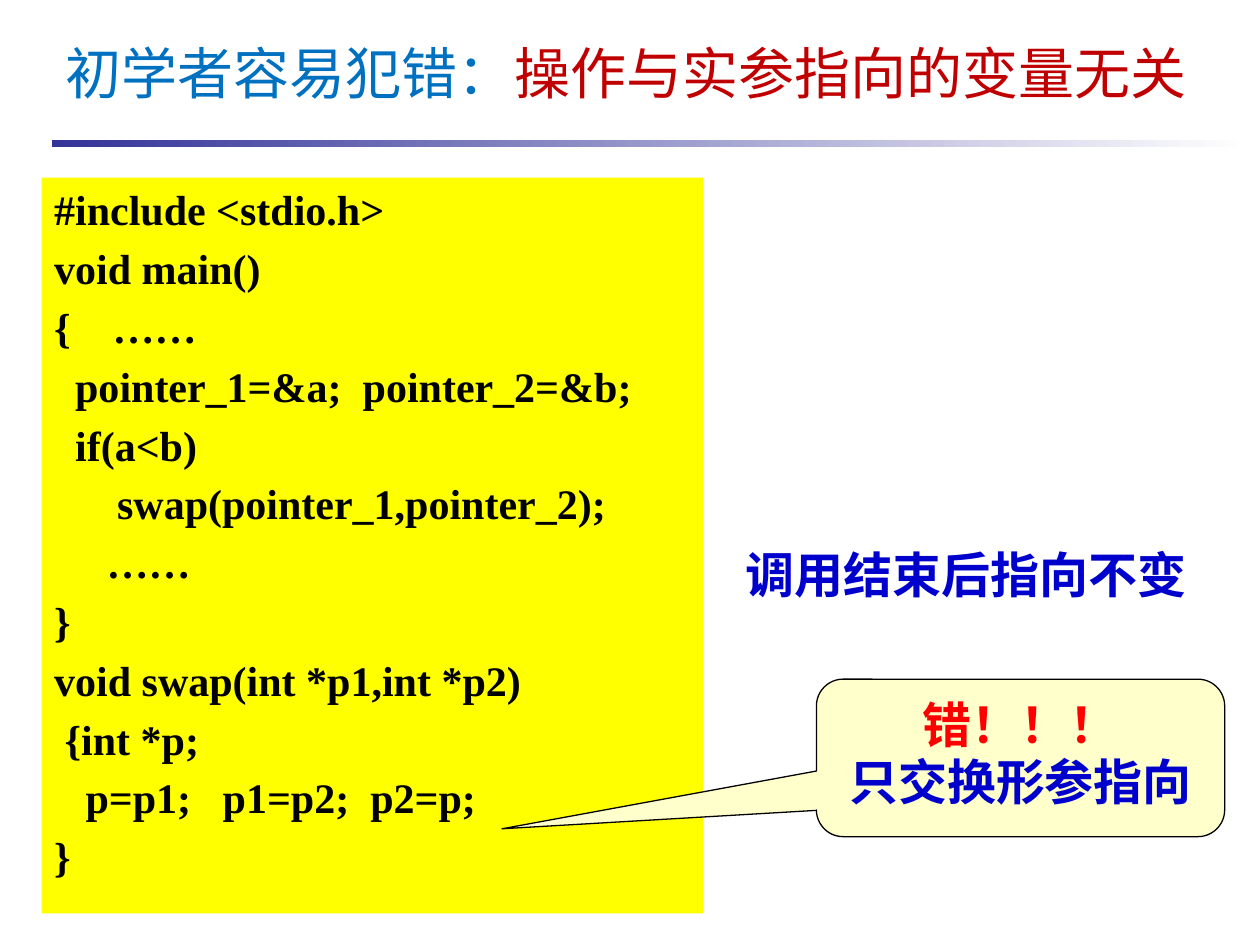
from dataclasses import dataclass

from lxml import etree
from pptx import Presentation
from pptx.dml.color import RGBColor
from pptx.enum import shapes, text
from pptx.oxml import ns
from pptx.util import Inches, Pt

BLACK = RGBColor(0x00, 0x00, 0x00)
WHITE = RGBColor(0xFF, 0xFF, 0xFF)
INDIGO = RGBColor(0x33, 0x33, 0x99)
YELLOW = RGBColor(0xFF, 0xFF, 0x00)
CREAM = RGBColor(0xFF, 0xFF, 0xCC)
BLUE = RGBColor(0x00, 0x00, 0xCC)
RED = RGBColor(0xFF, 0x00, 0x00)
SKY = RGBColor(0x00, 0x70, 0xC0)
CRIMSON = RGBColor(0xC0, 0x00, 0x00)
CJK = "Noto Sans CJK SC"
CODE_FONT = "Times New Roman"

CODE = """#include <stdio.h>
void main()
{    ……
  pointer_1=&a;  pointer_2=&b;
  if(a<b)
      swap(pointer_1,pointer_2);
     ……
}
void swap(int *p1,int *p2)
 {int *p;
   p=p1;   p1=p2;  p2=p;
}"""


@dataclass
class Remark:
    wording: str
    color: RGBColor


def place(shape, left: float, top: float, width: float, height: float) -> None:
    shape.left, shape.top = Inches(left), Inches(top)
    shape.width, shape.height = Inches(width), Inches(height)


def set_font(font, name: str, size: float, color: RGBColor, bold: bool) -> None:
    font.name, font.size, font.bold = name, Pt(size), bold
    font.color.rgb = color


def add_run(paragraph, wording: str, name: str):
    """Add a run whose East Asian font matches its Latin one."""
    run = paragraph.add_run()
    run.text = wording
    run.font.name = name
    east_asian = etree.SubElement(run._r.get_or_add_rPr(), ns.qn("a:ea"))
    east_asian.set("typeface", name)
    return run


def write_remarks(frame, remarks: list[Remark], align) -> None:
    frame.word_wrap = True
    frame.vertical_anchor = text.MSO_ANCHOR.MIDDLE
    for i, remark in enumerate(remarks):
        paragraph = frame.add_paragraph() if i else frame.paragraphs[0]
        paragraph.alignment = align
        paragraph.line_spacing = 0.8
        paragraph.space_before = Pt(5.6)
        set_font(paragraph.font, CJK, 28, remark.color, True)
        run = add_run(paragraph, remark.wording, CJK)
        set_font(run.font, CJK, 28, remark.color, True)


def main() -> None:
    prs = Presentation()
    prs.slide_width, prs.slide_height = Inches(10), Inches(7.5)
    slide = prs.slides.add_slide(prs.slide_layouts[1])
    title, code = slide.placeholders

    # Title in two colours
    place(title, 0.42, 0.25, 9.33, 0.67)
    title.text_frame.auto_size = text.MSO_AUTO_SIZE.NONE
    title.text_frame.vertical_anchor = text.MSO_ANCHOR.MIDDLE
    heading = title.text_frame.paragraphs[0]
    heading.alignment = text.PP_ALIGN.LEFT
    heading.line_spacing = Pt(36)
    for part in (Remark("初学者容易犯错：", SKY),
                 Remark("操作与实参指向的变量无关", CRIMSON)):
        run = add_run(heading, part.wording, CJK)
        set_font(run.font, CJK, 32, part.color, False)

    # Fading rule under the title
    rule = slide.shapes.add_shape(
        shapes.MSO_SHAPE.RECTANGLE, Inches(0.41), Inches(1.11), Inches(9.51), Inches(0.06))
    rule.shadow.inherit = False
    rule.line.fill.background()
    rule.fill.gradient()
    rule.fill.gradient_angle = 0
    for stop, color in zip(rule.fill.gradient_stops, (INDIGO, WHITE)):
        stop.color.rgb = color

    # Code listing
    place(code, 0.33, 1.41, 5.25, 5.84)
    code.fill.solid()
    code.fill.fore_color.rgb = YELLOW
    listing = code.text_frame
    listing.auto_size = text.MSO_AUTO_SIZE.NONE
    for i, line in enumerate(CODE.splitlines()):
        paragraph = listing.add_paragraph() if i else listing.paragraphs[0]
        properties = paragraph._p.get_or_add_pPr()
        properties.set("marL", str(Inches(0.38)))
        properties.set("indent", str(Inches(-0.38)))
        etree.SubElement(properties, ns.qn("a:buNone"))
        set_font(paragraph.font, CODE_FONT, 24, BLACK, True)
        run = add_run(paragraph, line, CODE_FONT)
        set_font(run.font, CODE_FONT, 24, BLACK, True)

    # Result beside the code
    result = slide.shapes.add_textbox(Inches(5.83), Inches(4.36), Inches(4.1), Inches(0.48))
    place(result, 5.82, 4.36, 4.1, 0.48)
    result.left = Inches(5.82)
    write_remarks(result.text_frame, [Remark("调用结束后指向不变", BLUE)], text.PP_ALIGN.LEFT)

    # Callout pointing at the faulty swap
    callout = slide.shapes.add_shape(
        shapes.MSO_SHAPE.ROUNDED_RECTANGULAR_CALLOUT,
        Inches(6.48), Inches(5.39), Inches(3.24), Inches(1.25))
    for i, value in enumerate((-1.27, 0.45, 0.17)):
        callout.adjustments[i] = value
    callout.shadow.inherit = False
    callout.fill.solid()
    callout.fill.fore_color.rgb = CREAM
    callout.line.color.rgb = BLACK
    callout.line.width = Pt(0.75)
    write_remarks(callout.text_frame,
                  [Remark("错！！！", RED), Remark("只交换形参指向", BLUE)],
                  text.PP_ALIGN.CENTER)

    prs.save("out.pptx")


if __name__ == "__main__":
    main()
